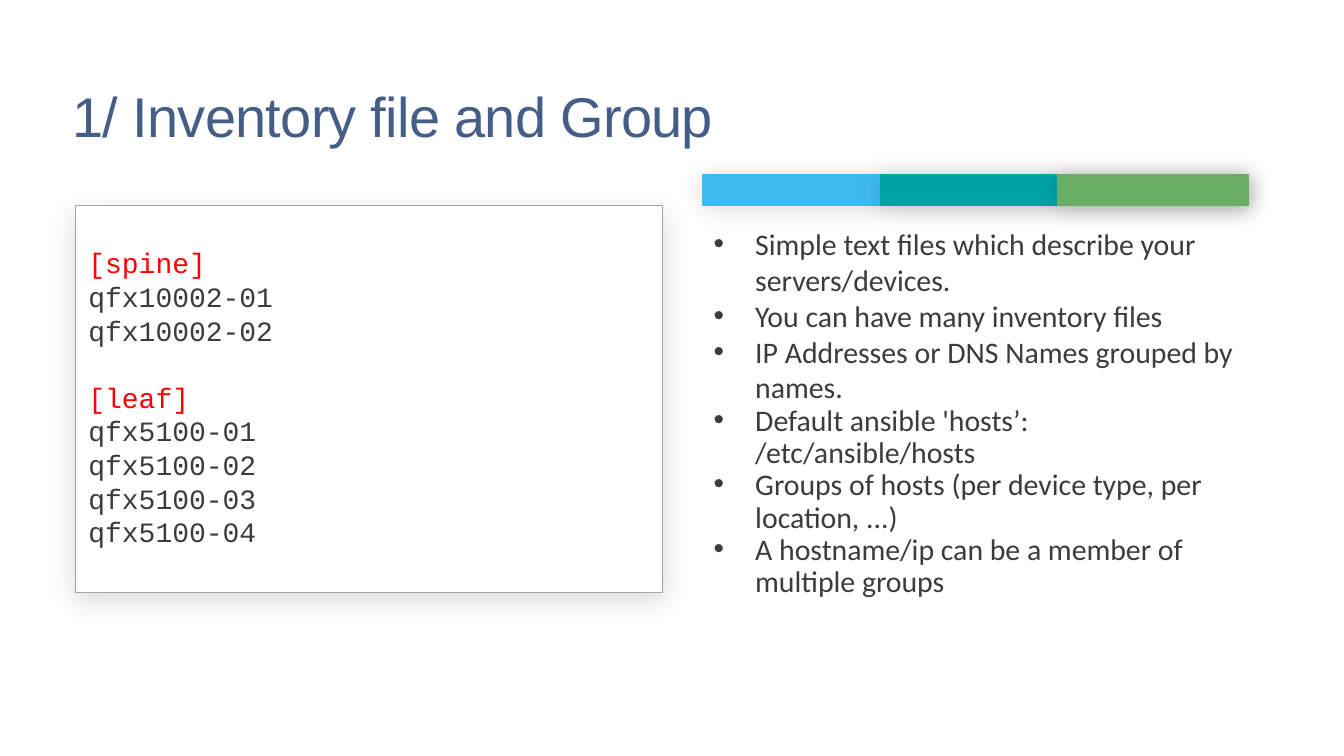
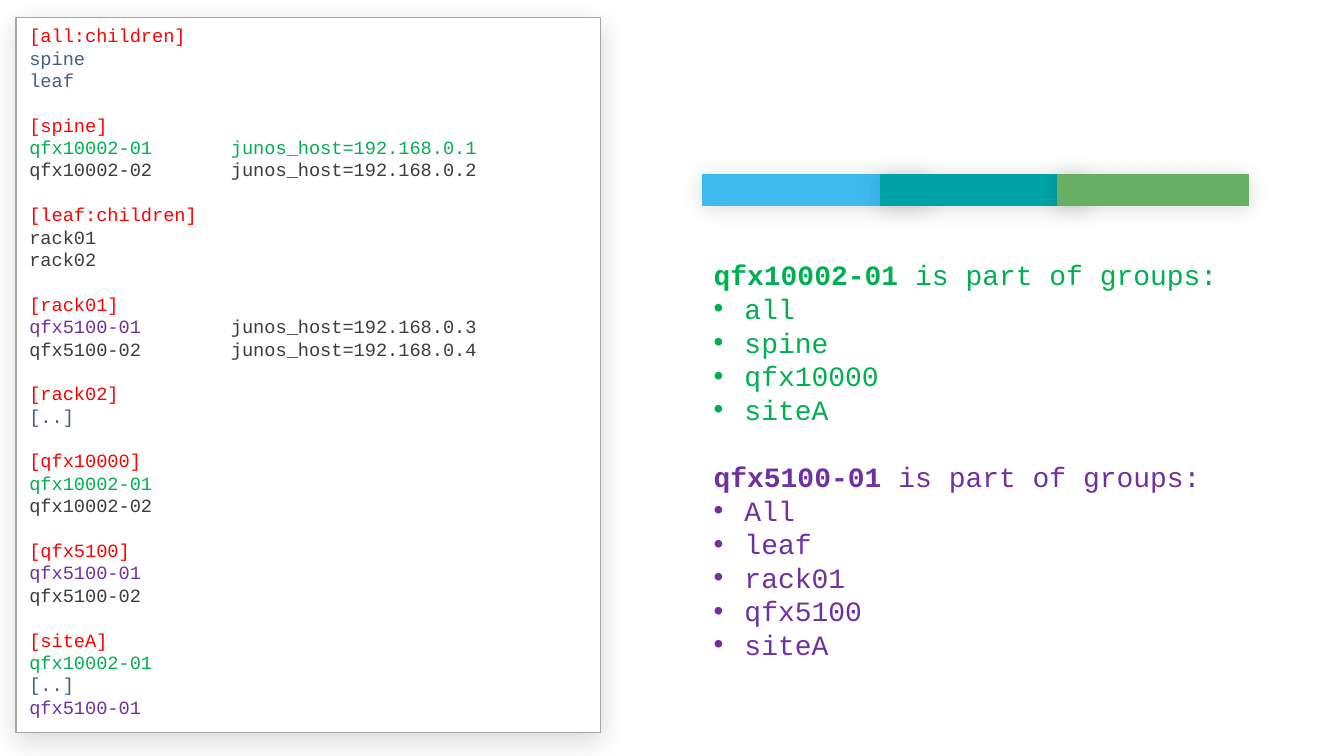
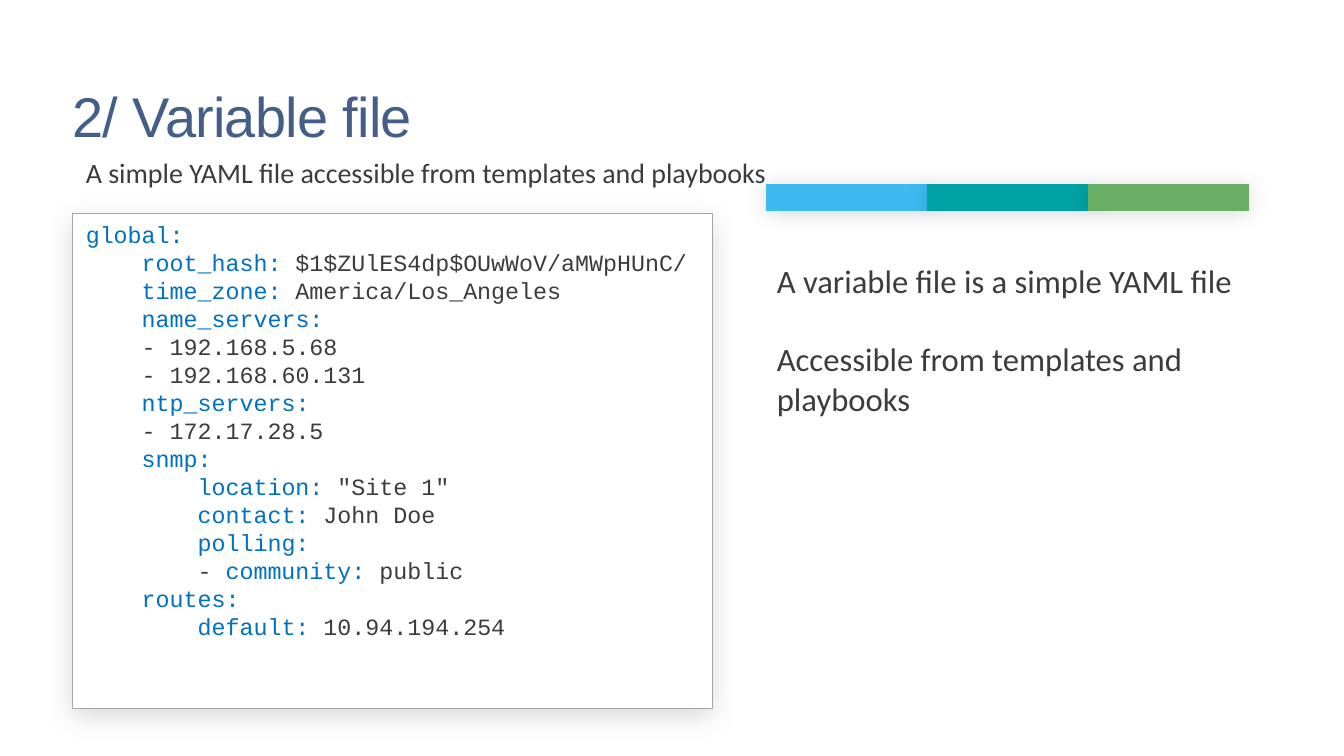
"""Three slides on inventory files, host groups and variable files."""
from lxml import etree
from pptx import Presentation
from pptx.dml.color import RGBColor
from pptx.enum import shapes, text
from pptx.oxml.ns import qn
from pptx.util import Inches, Pt

WHITE, GRAY, BORDER = "FFFFFF", "3C3C3C", "A6A6A6"
NAVY, RED, KEY = "445E88", "FF0000", "0070C0"
GREEN, PURPLE = "00B050", "7030A0"
BAND_COLORS = ["3EBAF1", "00A3A5", "68AE64"]
MONO, BODY, HEAD = "Courier New", "Calibri", "Arial"
PANEL_INSETS = (0.08, 0.31, 0.08, 0.04)
LINE = 1.2

SIMPLE_INVENTORY = [
    ["[spine]", "qfx10002-01", "qfx10002-02"],
    ["[leaf]", "qfx5100-01", "qfx5100-02", "qfx5100-03", "qfx5100-04"],
]
INVENTORY_NOTES = [
    ("Simple text files which describe your servers/devices.", 1),
    ("You can have many inventory files", 1),
    ("IP Addresses or DNS Names grouped by names.", 1),
    ("Default ansible 'hosts’: /etc/ansible/hosts", 0.9),
    ("Groups of hosts (per device type, per location, ...)", 0.9),
    ("A hostname/ip can be a member of multiple groups", 0.9),
]
NESTED_INVENTORY = [
    ["[all:children]", "spine", "leaf"],
    ["[spine]", "qfx10002-01\tjunos_host=192.168.0.1",
     "qfx10002-02\tjunos_host=192.168.0.2"],
    ["[leaf:children]", "rack01", "rack02"],
    ["[rack01]", "qfx5100-01\tjunos_host=192.168.0.3",
     "qfx5100-02\tjunos_host=192.168.0.4"],
    ["[rack02]", "[..]"],
    ["[qfx10000]", "qfx10002-01", "qfx10002-02"],
    ["[qfx5100]", "qfx5100-01", "qfx5100-02"],
    ["[siteA]", "qfx10002-01", "[..]", "qfx5100-01"],
]
MARKS = {
    "spine": NAVY, "leaf": NAVY, "[..]": NAVY, "qfx5100-01": PURPLE,
    "qfx10002-01": GREEN, "junos_host=192.168.0.1": GREEN,
}
MEMBERSHIPS = [
    ("qfx10002-01", GREEN, ["all", "spine", "qfx10000", "siteA"]),
    ("qfx5100-01", PURPLE, ["All", "leaf", "rack01", "qfx5100", "siteA"]),
]
VARIABLES = [
    "global:",
    "    root_hash: $1$ZUlES4dp$OUwWoV/aMWpHUnC/",
    "    time_zone: America/Los_Angeles",
    "    name_servers:",
    "    - 192.168.5.68",
    "    - 192.168.60.131",
    "    ntp_servers:",
    "    - 172.17.28.5",
    "    snmp:",
    "        location: \"Site 1\"",
    "        contact: John Doe",
    "        polling:",
    "        - community: public",
    "    routes:",
    "        default: 10.94.194.254",
]
VARIABLE_NOTES = ["A variable file is a simple YAML file",
                  "Accessible from templates and playbooks"]
VARIABLE_SUBTITLE = "A simple YAML file accessible from templates and playbooks"


def rgb(color):
    return RGBColor.from_string(color)


def sub(parent, tag, **attrs):
    return etree.SubElement(parent, qn(tag), {k: str(v) for k, v in attrs.items()})


def add_shadow(sp, blur, dist):
    effects = sub(sp._element.spPr, "a:effectLst")
    outer = sub(effects, "a:outerShdw", blurRad=Pt(blur), dist=Pt(dist),
                dir=90 * 60000, algn="t", rotWithShape=0)
    sub(sub(outer, "a:srgbClr", val="000000"), "a:alpha", val=15000)


def add_box(s, at, fill=WHITE, line=None, width=0.75, shadow=None):
    sp = s.shapes.add_shape(shapes.MSO_SHAPE.RECTANGLE, *map(Inches, at))
    sp.fill.solid()
    sp.fill.fore_color.rgb = rgb(fill)
    if line:
        sp.line.color.rgb = rgb(line)
        sp.line.width = Pt(width)
    else:
        sp.line.fill.background()
    if shadow:
        add_shadow(sp, *shadow)
    else:
        sp.shadow.inherit = False
    return sp


def para(*runs, **options):
    return {"runs": runs, **options}


def write(sp, paras, size, font, insets=(0.1, 0.05, 0.1, 0.05), anchor="TOP"):
    tf = sp.text_frame
    frame = dict(zip(("margin_left", "margin_top", "margin_right", "margin_bottom"),
                     map(Inches, insets)))
    frame.update(word_wrap=True, vertical_anchor=getattr(text.MSO_ANCHOR, anchor))
    for name, value in frame.items():
        setattr(tf, name, value)
    for i, item in enumerate(paras):
        p = tf.paragraphs[0] if i == 0 else tf.add_paragraph()
        pPr = p._p.get_or_add_pPr()
        if "bullet" in item:
            hang = Inches(item["bullet"])
            pPr.set("marL", str(hang))
            pPr.set("indent", str(-hang))
            sub(pPr, "a:buFont", typeface=HEAD)
            sub(pPr, "a:buChar", char="•")
        if "tab" in item:
            sub(sub(pPr, "a:tabLst"), "a:tab", pos=Inches(item["tab"]), algn="l")
        p.alignment = text.PP_ALIGN.LEFT
        p.line_spacing = item.get("spacing", Pt(size * LINE * item.get("scale", 1)))
        if item.get("gap") and i:
            p.space_before = Pt(size * LINE)
        for content, color, *bold in item["runs"]:
            r = p.add_run()
            r.text = content
            r.font.color.rgb = rgb(color)
            for name, value in {"name": font, "size": Pt(size), "bold": bool(bold)}.items():
                setattr(r.font, name, value)
            if "kern" in item:
                r._r.get_or_add_rPr().set("spc", str(item["kern"]))


def add_title(s, title):
    sp = s.shapes.add_textbox(*map(Inches, (0.54, 0.66, 9, 0.45)))
    write(sp, [para((title, NAVY), spacing=0.9, kern=-40)], 30, HEAD, (0, 0, 0, 0), "BOTTOM")


def add_code(s, at, paras, size, top=0.05):
    sp = add_box(s, at, line=BORDER, shadow=(15, 4))
    write(sp, paras, size, MONO, (0.1, top, 0.1, 0.05))


def add_panel(s, at, paras, size, font, lead=0):
    left, top, right, bottom = PANEL_INSETS
    write(add_box(s, at), paras, size, font, (left, top + lead, right, bottom))


def add_bands(s, left, top, height, step, widths):
    for i, (color, width) in enumerate(zip(BAND_COLORS, widths)):
        add_box(s, (left + i * step, top, width, height), color, color, 0.5, (12, 1))


def inventory_paras(groups, marks):
    paras = []
    for header, *hosts in groups:
        paras.append(para((header, RED), gap=True))
        for host in hosts:
            name, tab, rest = host.partition("\t")
            runs = [(name, marks.get(name, GRAY))]
            options = {}
            if tab:
                runs.append((tab + rest, marks.get(rest, GRAY)))
                options["tab"] = 1.5
            paras.append(para(*runs, **options))
    return paras


def yaml_para(line):
    key, colon, value = line.partition(":")
    if not colon:
        return para((line, GRAY))
    name = key.lstrip(" -")
    lead = key[:len(key) - len(name)]
    runs = [(lead, GRAY), (name + colon, KEY), (value, GRAY)]
    return para(*[run for run in runs if run[0]])


def membership_paras():
    paras = []
    for host, color, groups in MEMBERSHIPS:
        paras.append(para((host, color, True), (" is part of groups:", color), gap=True))
        paras += [para((group, color), bullet=0.23) for group in groups]
    return paras


def inventory_slide(s):
    add_title(s, "1/ Inventory file and Group")
    add_code(s, (0.56, 1.53, 4.37, 2.88), inventory_paras(SIMPLE_INVENTORY, {}), 15, 0.3)
    notes = [para((note, GRAY), bullet=0.31, scale=scale) for note, scale in INVENTORY_NOTES]
    add_panel(s, (5.23, 1.37, 4.06, 3.45), notes, 16, BODY)
    add_bands(s, 5.23, 1.3, 0.23, 1.32, (4.06, 2.74, 1.42))


def groups_slide(s):
    add_panel(s, (5.23, 1.37, 4.06, 3.86), membership_paras(), 15, MONO, 0.24)
    add_code(s, (0.12, 0.13, 4.35, 5.32), inventory_paras(NESTED_INVENTORY, MARKS), 10)
    add_bands(s, 5.23, 1.3, 0.23, 1.32, (1.67, 1.54, 1.42))


def variables_slide(s):
    add_title(s, "2/ Variable file")
    add_code(s, (0.54, 1.59, 4.76, 3.68), [yaml_para(line) for line in VARIABLES], 12.5)
    notes = [para((note, GRAY), gap=True) for note in VARIABLE_NOTES]
    add_panel(s, (5.7, 1.37, 3.59, 3.45), notes, 17.5, BODY, 0.26)
    sp = s.shapes.add_textbox(*map(Inches, (0.54, 1.11, 6.02, 0.35)))
    write(sp, [para((VARIABLE_SUBTITLE, GRAY))], 15, BODY)
    add_bands(s, 5.7, 1.37, 0.2, 1.2, (1.2, 1.2, 1.19))


def main():
    prs = Presentation()
    prs.slide_width = Inches(10)
    prs.slide_height = prs.slide_width * 9 // 16
    for build in (inventory_slide, groups_slide, variables_slide):
        build(prs.slides.add_slide(prs.slide_layouts[6]))
    prs.save("out.pptx")


if __name__ == "__main__":
    main()
